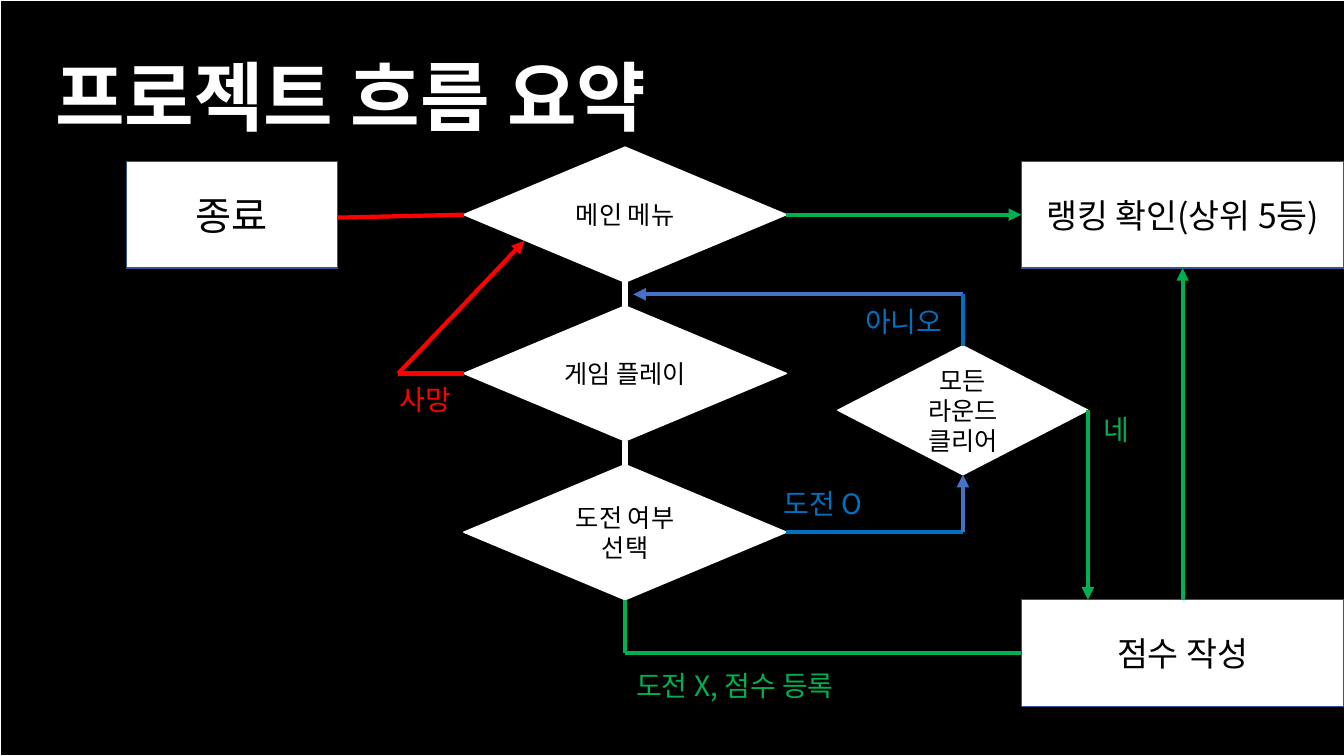
from dataclasses import dataclass
from itertools import pairwise

from lxml.etree import SubElement
from pptx import Presentation
from pptx.dml.color import RGBColor
from pptx.enum.shapes import MSO_CONNECTOR, MSO_SHAPE
from pptx.enum.text import MSO_ANCHOR, MSO_AUTO_SIZE, PP_ALIGN
from pptx.oxml.ns import qn
from pptx.util import Inches, Pt


@dataclass(frozen=True)
class Theme:
    """Colours, font and sizes of the flow chart."""
    font: str = "Noto Sans CJK KR"
    black: str = "000000"
    white: str = "FFFFFF"
    border: str = "325491"
    red: str = "FF0000"
    green: str = "00B050"
    blue: str = "0070C0"
    arrow_blue: str = "4472C4"
    title_size: int = 54
    exit_size: int = 28
    box_size: int = 24
    label_size: int = 20
    decision_size: int = 18
    route_width: float = 3
    trunk_width: float = 4.5


@dataclass(frozen=True)
class Node:
    """A node given by its centre and size in inches, with its edge points."""
    x: float
    y: float
    width: float
    height: float

    @property
    def top(self):
        """Middle of the upper edge."""
        return self.x, self.y - self.height / 2

    @property
    def bottom(self):
        """Middle of the lower edge."""
        return self.x, self.y + self.height / 2

    @property
    def left(self):
        """Middle of the left edge."""
        return self.x - self.width / 2, self.y

    @property
    def right(self):
        """Middle of the right edge."""
        return self.x + self.width / 2, self.y


THEME = Theme()
SLIDE_WIDTH, SLIDE_HEIGHT = 13.33, 7.5
MAIN_X, CHECK_X, RIGHT_X = 6.2, 9.55, 11.73     # column centres
FIRST_Y, ROW_PITCH = 2.13, 1.575                # row centres
ROWS = [FIRST_Y + row * ROW_PITCH for row in range(3)]
DECISION = (3.2, 1.34)
BOX = (3.2, 1.06)


def write(frame, lines, size, color, align=PP_ALIGN.CENTER, bold=None):
    """Fill a text frame with equally formatted paragraphs."""
    frame.word_wrap = True
    for index, line in enumerate(lines):
        paragraph = frame.add_paragraph() if index else frame.paragraphs[0]
        paragraph.text = line
        paragraph.alignment = align
        font = paragraph.font
        font.size, font.bold, font.name = Pt(size), bold, THEME.font
        font.color.rgb = RGBColor.from_string(color)
        defaults = paragraph._p.pPr.find(qn("a:defRPr"))
        SubElement(defaults, qn("a:ea"), typeface=THEME.font)


def add_panel(slide, kind, box, fill, border, border_width=1):
    """Add a filled and outlined shape; box is left, top, width, height."""
    shape = slide.shapes.add_shape(kind, *map(Inches, box))
    shape.shadow.inherit = False
    shape.fill.solid()
    shape.fill.fore_color.rgb = RGBColor.from_string(fill)
    shape.line.color.rgb = RGBColor.from_string(border)
    shape.line.width = Pt(border_width)
    return shape


def add_node(slide, node, kind, lines, size, border):
    """Add a white flow chart node with centred black text."""
    box = (node.left[0], node.top[1], node.width, node.height)
    shape = add_panel(slide, kind, box, THEME.white, border)
    shape.text_frame.vertical_anchor = MSO_ANCHOR.MIDDLE
    write(shape.text_frame, lines, size, THEME.black)


def add_decision(slide, node, *lines):
    """Add a diamond."""
    add_node(slide, node, MSO_SHAPE.FLOWCHART_DECISION, lines,
             THEME.decision_size, THEME.white)


def add_box(slide, node, line, size=THEME.box_size):
    """Add a rectangular step."""
    add_node(slide, node, MSO_SHAPE.RECTANGLE, [line], size, THEME.border)


def add_text(slide, box, text, size, color, **style):
    """Add a text box that grows with its text."""
    frame = slide.shapes.add_textbox(*map(Inches, box)).text_frame
    write(frame, [text], size, color, **style)
    frame.auto_size = MSO_AUTO_SIZE.SHAPE_TO_FIT_TEXT


def add_route(slide, color, *points, arrow=False, width=THEME.route_width):
    """Join points by straight lines, with an optional arrowhead at the end."""
    for start, end in pairwise(points):
        line = slide.shapes.add_connector(
            MSO_CONNECTOR.STRAIGHT, *map(Inches, (*start, *end)))
        line.line.color.rgb = RGBColor.from_string(color)
        line.line.width = Pt(width)
        SubElement(line._element.spPr, qn("a:effectLst"))
        if arrow and end == points[-1]:
            SubElement(line.line._get_or_add_ln(), qn("a:tailEnd"),
                       type="triangle")


def main():
    """Build the project flow slide."""
    presentation = Presentation()
    presentation.slide_width = Inches(SLIDE_WIDTH)
    presentation.slide_height = Inches(SLIDE_HEIGHT)
    slide = presentation.slides.add_slide(presentation.slide_layouts[6])

    add_panel(slide, MSO_SHAPE.RECTANGLE, (0, 0, 13.49, SLIDE_HEIGHT),
              THEME.black, THEME.white, 1.5)
    add_text(slide, (0.45, 0.45, 6.77, 1.01), "프로젝트 흐름 요약",
             THEME.title_size, THEME.white, align=PP_ALIGN.LEFT, bold=True)

    menu, play, challenge = (Node(MAIN_X, y, *DECISION) for y in ROWS)
    cleared = Node(CHECK_X, 4.07, 2.48, 1.28)
    finish = Node(2.3, FIRST_Y, 2.09, 1.06)
    ranking = Node(RIGHT_X, FIRST_Y, *BOX)
    score = Node(RIGHT_X, 6.48, *BOX)

    add_decision(slide, menu, "메인 메뉴")
    add_decision(slide, play, "게임 플레이")
    add_decision(slide, challenge, "도전 여부 선택")
    add_decision(slide, cleared, "모든", "라운드 클리어")
    add_box(slide, ranking, "랭킹 확인(상위 5등)")
    add_box(slide, score, "점수 작성")

    for upper, lower in pairwise((menu, play, challenge)):
        add_route(slide, THEME.white, upper.bottom, lower.top,
                  width=THEME.trunk_width)

    add_route(slide, THEME.red, (3.3, 2.16), menu.left)
    add_box(slide, finish, "종료", THEME.exit_size)
    death_turn = (3.95, play.y)
    add_route(slide, THEME.red, play.left, death_turn, (5.2, 2.39), arrow=True)

    clear_turn = (CHECK_X, challenge.y)
    add_route(slide, THEME.blue, challenge.right, clear_turn)
    add_route(slide, THEME.arrow_blue, clear_turn, cleared.bottom, arrow=True)
    replay_turn = (CHECK_X, 2.92)
    add_route(slide, THEME.arrow_blue, replay_turn, (6.28, 2.92), arrow=True)
    add_route(slide, THEME.blue, replay_turn, cleared.top)

    add_route(slide, THEME.green, challenge.bottom, (MAIN_X, score.y),
              score.left)
    add_route(slide, THEME.green, score.top, ranking.bottom, arrow=True)
    add_route(slide, THEME.green, menu.right, ranking.left, arrow=True)
    add_route(slide, THEME.green, cleared.right,
              (cleared.right[0], score.top[1]), arrow=True)

    for left, top, width, text, color in (
            (3.84, 3.75, 0.76, "사망", THEME.red),
            (5.91, 6.58, 2.76, "도전 X, 점수 등록", THEME.green),
            (7.48, 4.78, 1.37, "도전 O", THEME.blue),
            (8.44, 2.97, 1.05, "아니오", THEME.blue),
            (10.7, 4.04, 0.75, "네", THEME.green)):
        add_text(slide, (left, top, width, 0.44), text, THEME.label_size, color)

    presentation.save("out.pptx")


main()
